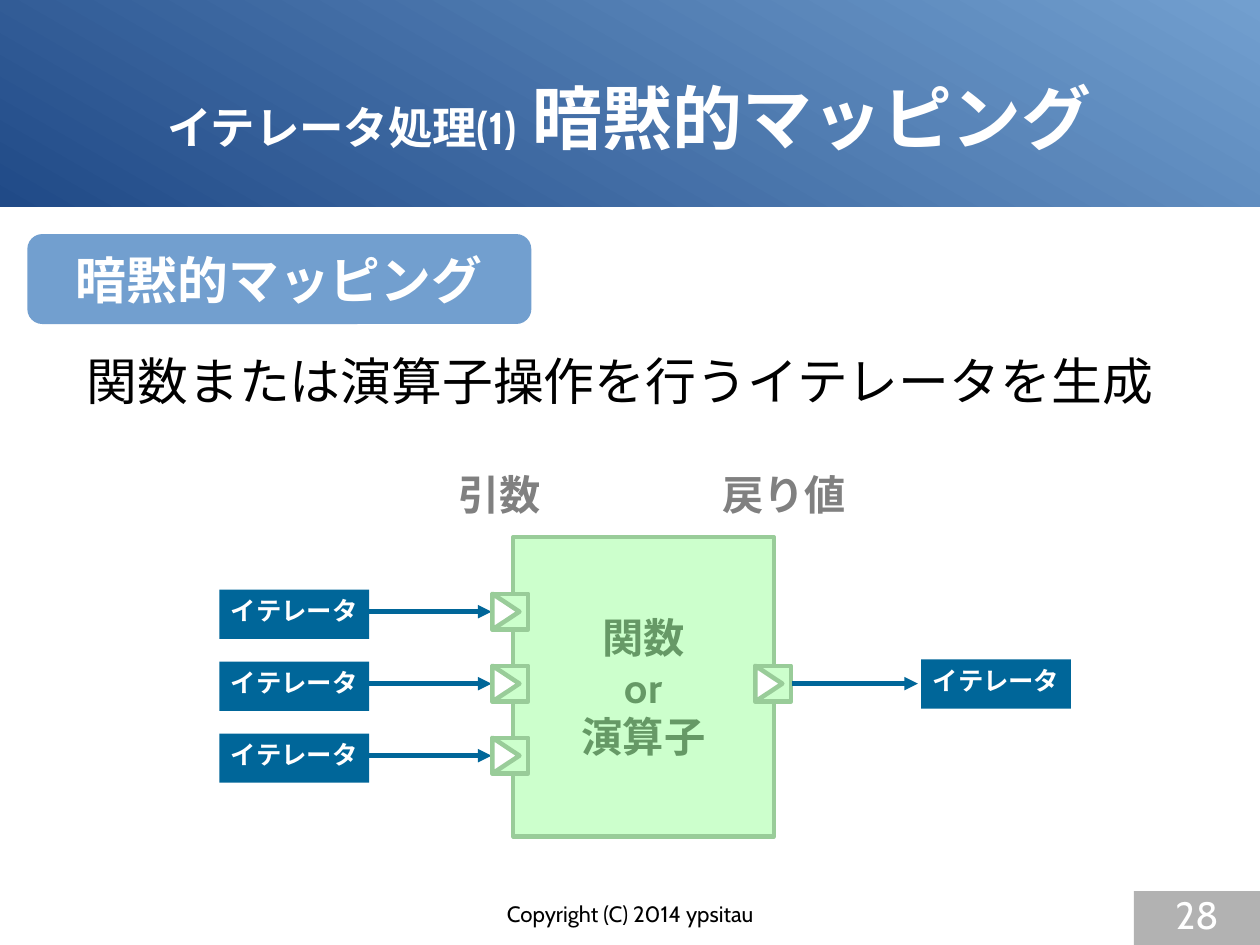
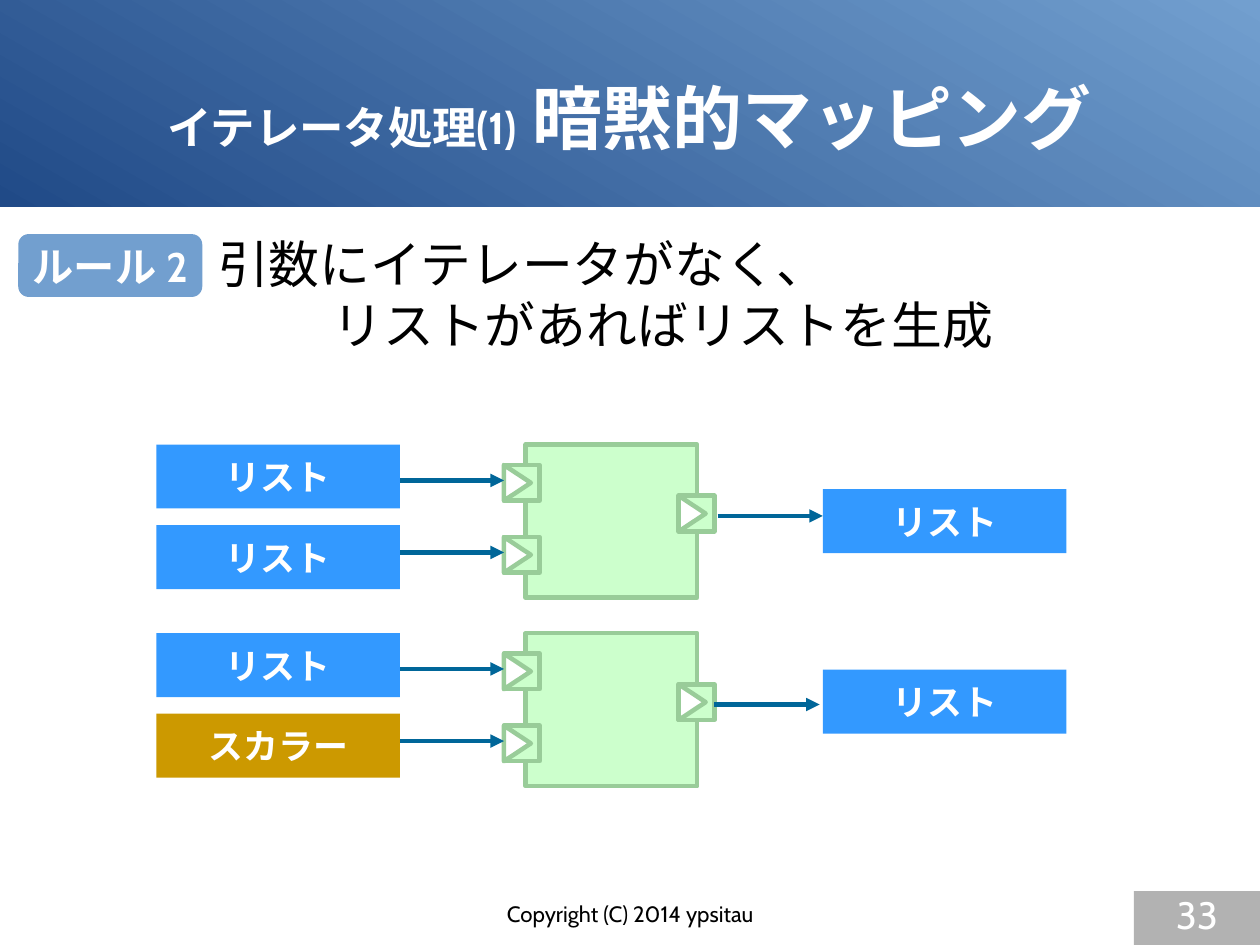
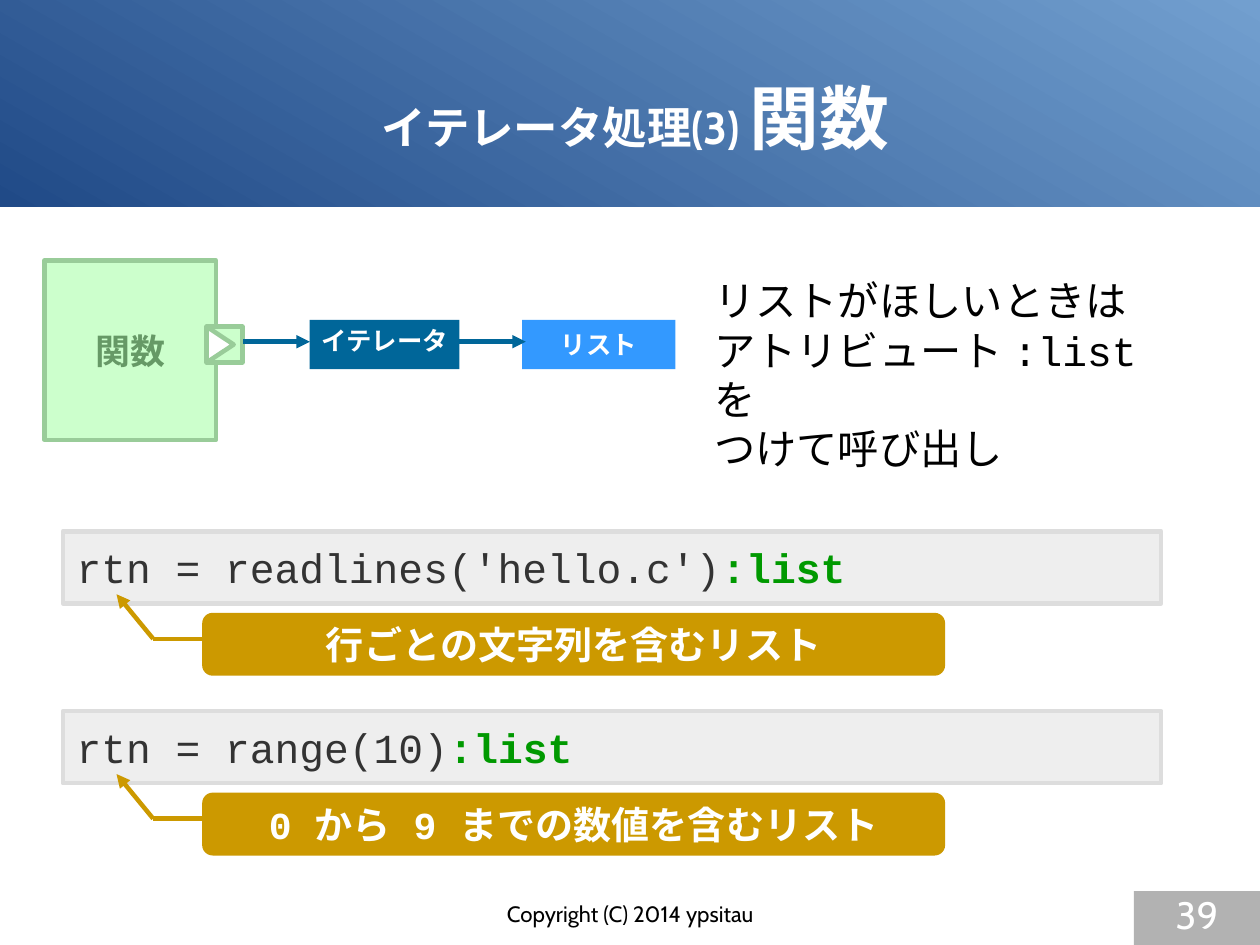
from lxml.etree import SubElement
from pptx import Presentation
from pptx.dml.color import RGBColor
from pptx.enum.lang import MSO_LANGUAGE_ID as LANG
from pptx.enum.shapes import MSO_CONNECTOR as CONN, MSO_SHAPE as SHAPE
from pptx.enum.text import MSO_ANCHOR as ANCHOR, PP_ALIGN as ALIGN
from pptx.oxml.ns import qn
from pptx.util import Pt

WIDTH, HEIGHT = 793.7, 595.4
SANS, MONO = "Cabin", "Courier New"
STROKE = 2.83
COLORS = {
    "navy": "204A87", "sky": "729FCF", "white": "FFFFFF", "black": "000000",
    "iterator": "006699", "list": "3399FF", "scalar": "CC9900",
    "block": "CCFFCC", "edge": "99CC99", "block_text": "669966",
    "caption": "808080", "page": "B2B2B2",
    "code_fill": "EEEEEE", "code_edge": "DDDDDD", "code": "333333",
    "attribute": "009900",
}
COPYRIGHT = "Copyright (C) 2014 ypsitau"
MAPPING_TITLE = [("イテレータ処理(1)", 28), (" 暗黙的マッピング", 44)]
FUNCTION_TITLE = [("イテレータ処理(3) ", 28), ("関数", 44)]

ITERATOR = (94.3, 31)
VALUE = (153.4, 40.3)
PORT = 22.5
CAPTION_WIDTH = 130

CAPTIONS = [("引数", 314.6), ("戻り値", 493.9)]
FUNCTION_LINES = ["関数", "or", "演算子"]
RULE_LINES = [("引数にイテレータがなく、", 0), ("リストがあればリストを生成", 72)]
RULE_CASES = [
    {"inputs": [("リスト", "list"), ("リスト", "list")],
     "arrow_x": 452, "result_y": 308.2},
    {"inputs": [("リスト", "list"), ("スカラー", "scalar")],
     "arrow_x": 450, "result_y": 421.9},
]
LIST_NOTE = [
    [("リストがほしいときは", SANS)],
    [("アトリビュート ", SANS), (":list ", MONO), ("を", SANS)],
    [("つけて呼び出し", SANS)],
]
CODE_SAMPLES = [
    ("rtn = readlines('hello.c')", "行ごとの文字列を含むリスト"),
    ("rtn = range(10)", "0 から 9 までの数値を含むリスト"),
]


def rgb(name):
    return RGBColor.from_string(COLORS[name])


def run(text, size, color="white", bold=False, font=SANS):
    return text, size, color, bold, font


def write(sp, paragraphs, align=ALIGN.CENTER, anchor=ANCHOR.MIDDLE,
          inset=(7.2, 3.6), wrap=False, indents=()):
    tf = sp.text_frame
    tf.word_wrap = wrap
    tf.vertical_anchor = anchor
    tf.margin_left = tf.margin_right = Pt(inset[0])
    tf.margin_top = tf.margin_bottom = Pt(inset[1])
    for i, runs in enumerate(paragraphs):
        p = tf.add_paragraph() if i else tf.paragraphs[0]
        p.alignment = align
        if indents:
            p._p.get_or_add_pPr().set("marL", str(Pt(indents[i])))
        for text, size, color, bold, font in runs:
            r = p.add_run()
            r.text = text
            r.font.size = Pt(size)
            r.font.bold = bold
            r.font.color.rgb = rgb(color)
            r.font.name = font
            r.font.language_id = LANG.JAPANESE
            SubElement(r._r.get_or_add_rPr(), qn("a:ea")).set("typeface", font)


def textbox(s, x, y, w, h, paragraphs, **style):
    sp = s.shapes.add_textbox(Pt(x), Pt(y), Pt(w), Pt(h))
    write(sp, paragraphs, wrap=True, **style)


def shape(s, kind, x, y, w, h, fill, line=None):
    sp = s.shapes.add_shape(kind, Pt(x), Pt(y), Pt(w), Pt(h))
    sp.shadow.inherit = False
    sp.fill.solid()
    sp.fill.fore_color.rgb = rgb(fill)
    if line:
        sp.line.color.rgb = rgb(line)
        sp.line.width = Pt(STROKE)
    else:
        sp.line.fill.background()
    return sp


def badge(s, x, y, w, h, fill, text, size, font=SANS):
    sp = shape(s, SHAPE.ROUNDED_RECTANGLE, x, y, w, h, fill)
    write(sp, [[run(text, size, bold=True, font=font)]])


def line(s, start, end, color="iterator", arrow=True):
    c = s.shapes.add_connector(CONN.STRAIGHT, *map(Pt, start + end))
    c.line.color.rgb = rgb(color)
    c.line.width = Pt(STROKE)
    if arrow:
        SubElement(c.line._get_or_add_ln(), qn("a:tailEnd")).set("type", "triangle")
    SubElement(c._element.spPr, qn("a:effectLst"))


def value(s, x, y, text, fill, size=22, box=VALUE, anchor=ANCHOR.MIDDLE):
    sp = shape(s, SHAPE.RECTANGLE, x, y, *box, fill)
    write(sp, [[run(text, size, bold=True, font=MONO)]], anchor=anchor)


def iterator(s, x, y):
    value(s, x, y, "イテレータ", "iterator", 16, ITERATOR, ANCHOR.TOP)


def block(s, x, y, w, h, lines=(), size=26):
    sp = shape(s, SHAPE.RECTANGLE, x, y, w, h, "block", "edge")
    write(sp, [[run(t, size, "block_text", True)] for t in lines])


def port(s, cx, cy):
    half, depth = PORT / 2, 17
    shape(s, SHAPE.RECTANGLE, cx - half, cy - half, PORT, PORT, "block", "edge")
    tri = shape(s, SHAPE.ISOSCELES_TRIANGLE, cx - 2.8 - half, cy - depth / 2,
                PORT, depth, "white", "edge")
    tri.rotation = 90


def base_slide(prs, title, number, title_center=396.7):
    s = prs.slides.add_slide(prs.slide_layouts[6])
    band = shape(s, SHAPE.RECTANGLE, 0, 0, WIDTH, 130.3, "navy")
    band.fill.gradient()
    band.fill.gradient_angle = 60
    for stop, color in zip(band.fill.gradient_stops, ("navy", "sky")):
        stop.color.rgb = rgb(color)
    textbox(s, title_center - 360, 23.8, 720, 99.4,
            [[run(text, size, bold=True) for text, size in title]],
            inset=(0, 0))
    textbox(s, 271.4, 567, 251.3, 28, [[run(COPYRIGHT, 14, "black")]],
            anchor=ANCHOR.TOP, inset=(0, 0))
    sp = shape(s, SHAPE.RECTANGLE, 714.3, 561.4, 79.4, 34, "page")
    write(sp, [[run(str(number), 24)]], anchor=ANCHOR.TOP, inset=(0, 0))
    return s


def mapping_slide(prs):
    s = base_slide(prs, MAPPING_TITLE, 28)
    badge(s, 17.2, 147.5, 317.5, 56.7, "sky", "暗黙的マッピング", 32)
    textbox(s, 47.5, 216.7, 720, 55.4,
            [[run("関数または演算子操作を行うイテレータを生成", 32, "black")]],
            align=ALIGN.LEFT, anchor=ANCHOR.TOP)
    for text, center in CAPTIONS:
        textbox(s, center - CAPTION_WIDTH / 2, 292.3, CAPTION_WIDTH, 46,
                [[run(text, 26, "caption", True)]], anchor=ANCHOR.TOP)
    block(s, 323.3, 338.4, 164.2, 188.6, FUNCTION_LINES)
    rows = [385.4 + 45.35 * i for i in range(3)]
    for cy in rows:
        iterator(s, 138.2, cy - 13.9)
        line(s, (232.6, cy), (309.6, cy))
        port(s, 321.5, cy)
    port(s, 487.1, rows[1])
    line(s, (499, rows[1]), (578.2, rows[1]))
    iterator(s, 580.3, rows[1] - 15.3)


def rule_slide(prs):
    s = base_slide(prs, MAPPING_TITLE, 33)
    badge(s, 11.5, 147.5, 115.9, 39.6, "sky", "ルール 2", 26)
    textbox(s, 130.3, 143.3, 530, 103,
            [[run(text, 32, "black")] for text, _ in RULE_LINES],
            align=ALIGN.LEFT, anchor=ANCHOR.TOP,
            indents=[indent for _, indent in RULE_LINES])
    for i, case in enumerate(RULE_CASES):
        top = 280.1 + 118.8 * i
        block(s, 331.2, top, 108, 96.5)
        for j, (text, fill) in enumerate(case["inputs"]):
            cy = top + 24.1 + 45.4 * j
            value(s, 98.6, top + 50.8 * j, text, fill)
            port(s, 328.7, cy)
            line(s, (252, cy - 1.5), (317.5, cy - 1.5))
        out, x = top + 43.5, case["arrow_x"]
        port(s, 438.8, out)
        line(s, (x, out + 1.5), (x + 66.3, out + 1.5))
        value(s, 518.4, case["result_y"], "リスト", "list")


def function_slide(prs):
    s = base_slide(prs, FUNCTION_TITLE, 39, 400.3)
    block(s, 28.1, 164.2, 108, 113, ["関数"], 22)
    port(s, 141.5, 217.1)
    iterator(s, 195.1, 201.6)
    value(s, 329, 201.6, "リスト", "list", 16, (96.5, 31))
    for x in (153.4, 289.4):
        line(s, (x, 215.3), (x + 41.8, 215.3))
    textbox(s, 442.8, 169.9, 316.8, 133,
            [[run(text, 26, "black", font=font) for text, font in runs]
             for runs in LIST_NOTE],
            align=ALIGN.LEFT, anchor=ANCHOR.TOP)
    for i, (code, note) in enumerate(CODE_SAMPLES):
        top = 334.8 + 113.3 * i
        sp = shape(s, SHAPE.RECTANGLE, 39.6, top, 691.9, 45.4,
                   "code_fill", "code_edge")
        write(sp, [[run(code, 26, "code", font=MONO),
                    run(":list", 26, "attribute", True, MONO)]],
              align=ALIGN.LEFT, inset=(8.6, 5), wrap=True)
        badge(s, 127.4, top + 51.3, 468, 39.6, "scalar", note, 24, MONO)
        bend = (96.5, top + 67.7)
        line(s, bend, (73.4, top + 39.6), "scalar")
        line(s, bend, (127.4, top + 67.7), "scalar", arrow=False)


def main():
    prs = Presentation()
    prs.slide_width, prs.slide_height = Pt(WIDTH), Pt(HEIGHT)
    for build in (mapping_slide, rule_slide, function_slide):
        build(prs)
    prs.save("out.pptx")


if __name__ == "__main__":
    main()
